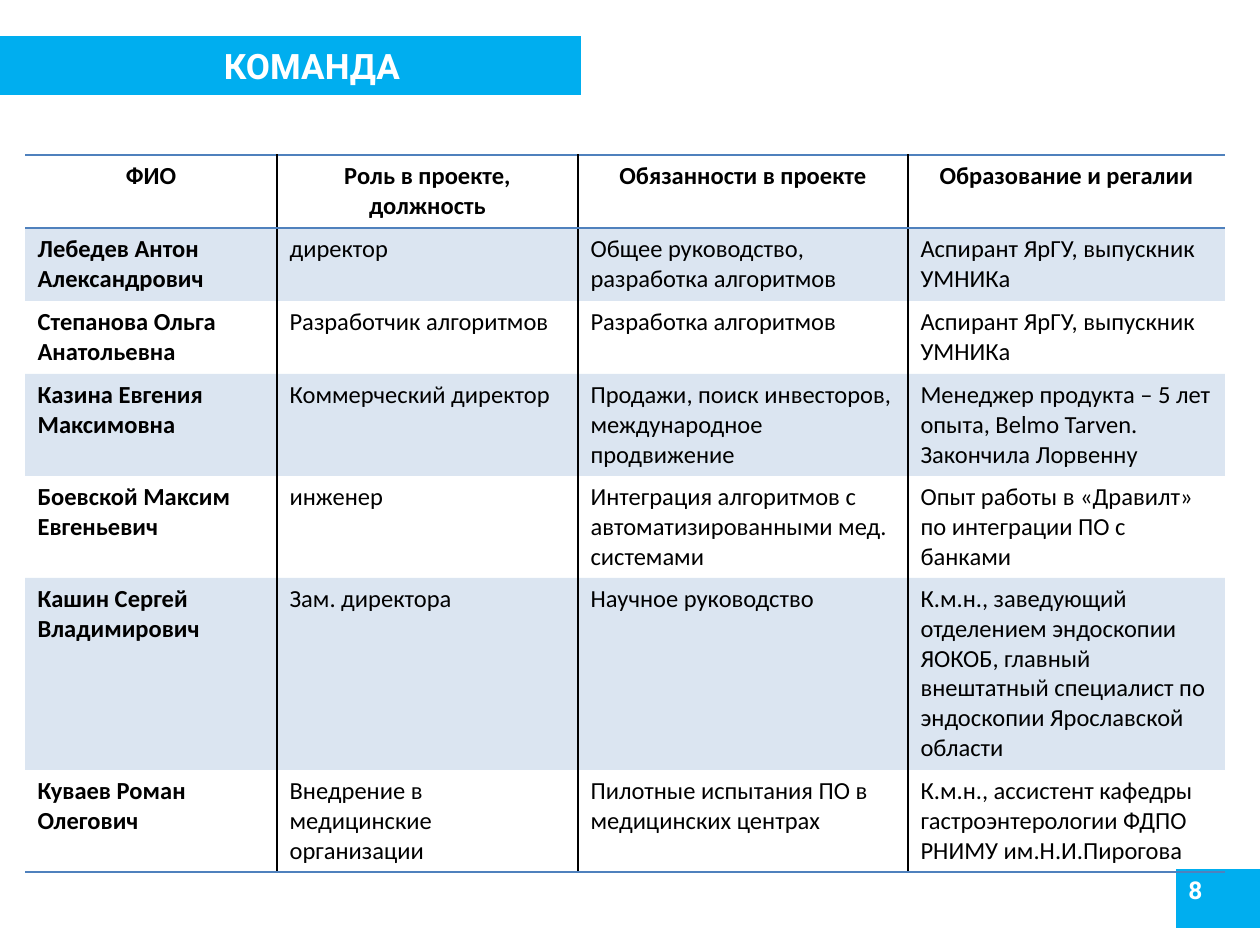
from lxml import etree
from pptx import Presentation
from pptx.dml.color import RGBColor
from pptx.enum.shapes import MSO_SHAPE
from pptx.enum.text import MSO_ANCHOR, PP_ALIGN
from pptx.oxml.ns import qn
from pptx.util import Pt

RECTANGLE = MSO_SHAPE.RECTANGLE
TOP, MIDDLE = MSO_ANCHOR.TOP, MSO_ANCHOR.MIDDLE
LEFT, CENTER = PP_ALIGN.LEFT, PP_ALIGN.CENTER

EMU_PER_PX = 914400 / 126
COLORS = {
    "accent": "00AEEF",
    "rule": "4F81BD",
    "ink": "000000",
    "paper": "FFFFFF",
}
BAND_ALPHA = 20000
COLUMN_WIDTHS = [252, 301, 330, 317]
ROW_HEIGHTS = [73, 73, 73, 102, 102, 192, 102]
TEAM = [
    ("ФИО", "Роль в проекте, должность", "Обязанности в проекте", "Образование и регалии"),
    ("Лебедев Антон Александрович", "директор",
     "Общее руководство, разработка алгоритмов", "Аспирант ЯрГУ, выпускник УМНИКа"),
    ("Степанова Ольга\nАнатольевна", "Разработчик алгоритмов",
     "Разработка алгоритмов", "Аспирант ЯрГУ, выпускник УМНИКа"),
    ("Казина Евгения Максимовна", "Коммерческий директор",
     "Продажи, поиск инвесторов, международное продвижение",
     "Менеджер продукта – 5 лет опыта, Belmo Tarven. Закончила Лорвенну"),
    ("Боевской Максим Евгеньевич", "инженер",
     "Интеграция алгоритмов с автоматизированными мед. системами",
     "Опыт работы в «Дравилт» по интеграции ПО с банками"),
    ("Кашин Сергей Владимирович", "Зам. директора", "Научное руководство",
     "К.м.н., заведующий отделением эндоскопии ЯОКОБ, главный внештатный "
     "специалист по эндоскопии Ярославской области"),
    ("Куваев Роман Олегович", "Внедрение в медицинские организации",
     "Пилотные испытания ПО в медицинских центрах",
     "К.м.н., ассистент кафедры гастроэнтерологии ФДПО РНИМУ им.Н.И.Пирогова"),
]


def px(length):
    return round(length * EMU_PER_PX)


def rgb(name):
    return RGBColor.from_string(COLORS[name])


def style_text(frame, face, size, color, bold, align):
    for paragraph in frame.paragraphs:
        paragraph.alignment = align
        font = paragraph.font
        font.name, font.size, font.bold = face, Pt(size), bold
        font.color.rgb = rgb(color)


def add_banner(slide, box, text, size, text_left, text_width, anchor, align):
    left, top, width, height = box
    band = slide.shapes.add_shape(RECTANGLE, px(left), px(top), px(width), px(height))
    band.shadow.inherit = False
    band.fill.solid()
    band.fill.fore_color.rgb = rgb("accent")
    band.line.fill.background()

    label = slide.shapes.add_textbox(px(left + text_left), px(top), px(text_width), px(height))
    frame = label.text_frame
    frame.word_wrap = True
    frame.vertical_anchor = anchor
    frame.text = text
    style_text(frame, "Roboto", size, "paper", True, align)


def add_border(cell, edge, color):
    line = etree.SubElement(cell._tc.get_or_add_tcPr(), qn(f"a:ln{edge}"), w=str(Pt(1)))
    if color:
        fill = etree.SubElement(line, qn("a:solidFill"))
        etree.SubElement(fill, qn("a:srgbClr"), val=COLORS[color])
    else:
        etree.SubElement(line, qn("a:noFill"))


def fill_cell(cell, banded):
    if not banded:
        cell.fill.background()
        return
    cell.fill.solid()
    cell.fill.fore_color.rgb = rgb("rule")
    tint = cell._tc.tcPr.find(f"{qn('a:solidFill')}/{qn('a:srgbClr')}")
    etree.SubElement(tint, qn("a:alpha"), val=str(BAND_ALPHA))


def add_team_table(slide, left, top):
    last_row, last_column = len(TEAM) - 1, len(COLUMN_WIDTHS) - 1
    table = slide.shapes.add_table(
        len(TEAM), len(COLUMN_WIDTHS), px(left), px(top),
        px(sum(COLUMN_WIDTHS)), px(sum(ROW_HEIGHTS))).table
    table.first_row = table.horz_banding = False
    for column, width in zip(table.columns, COLUMN_WIDTHS):
        column.width = px(width)
    for row, height in zip(table.rows, ROW_HEIGHTS):
        row.height = px(height)

    for r, member in enumerate(TEAM):
        for c, text in enumerate(member):
            cell = table.cell(r, c)
            cell.text = text
            style_text(cell.text_frame, "Calibri", 14, "ink",
                       r == 0 or c == 0, CENTER if r == 0 else LEFT)
            add_border(cell, "L", "ink" if c > 0 else None)
            add_border(cell, "R", "ink" if c < last_column else None)
            add_border(cell, "T", "rule" if r in (0, 1) else None)
            add_border(cell, "B", "rule" if r in (0, last_row) else None)
            fill_cell(cell, r % 2 == 1)


def main():
    deck = Presentation()
    deck.slide_width, deck.slide_height = px(1260), px(945)
    slide = deck.slides.add_slide(deck.slide_layouts[6])
    add_banner(slide, (0, 36, 581, 59), "КОМАНДА", 20, 44, 536, MIDDLE, CENTER)
    add_banner(slide, (1176, 869, 84, 59), "8", 14, 0, 79, TOP, LEFT)
    add_team_table(slide, 25, 155)
    deck.save("out.pptx")


if __name__ == "__main__":
    main()
